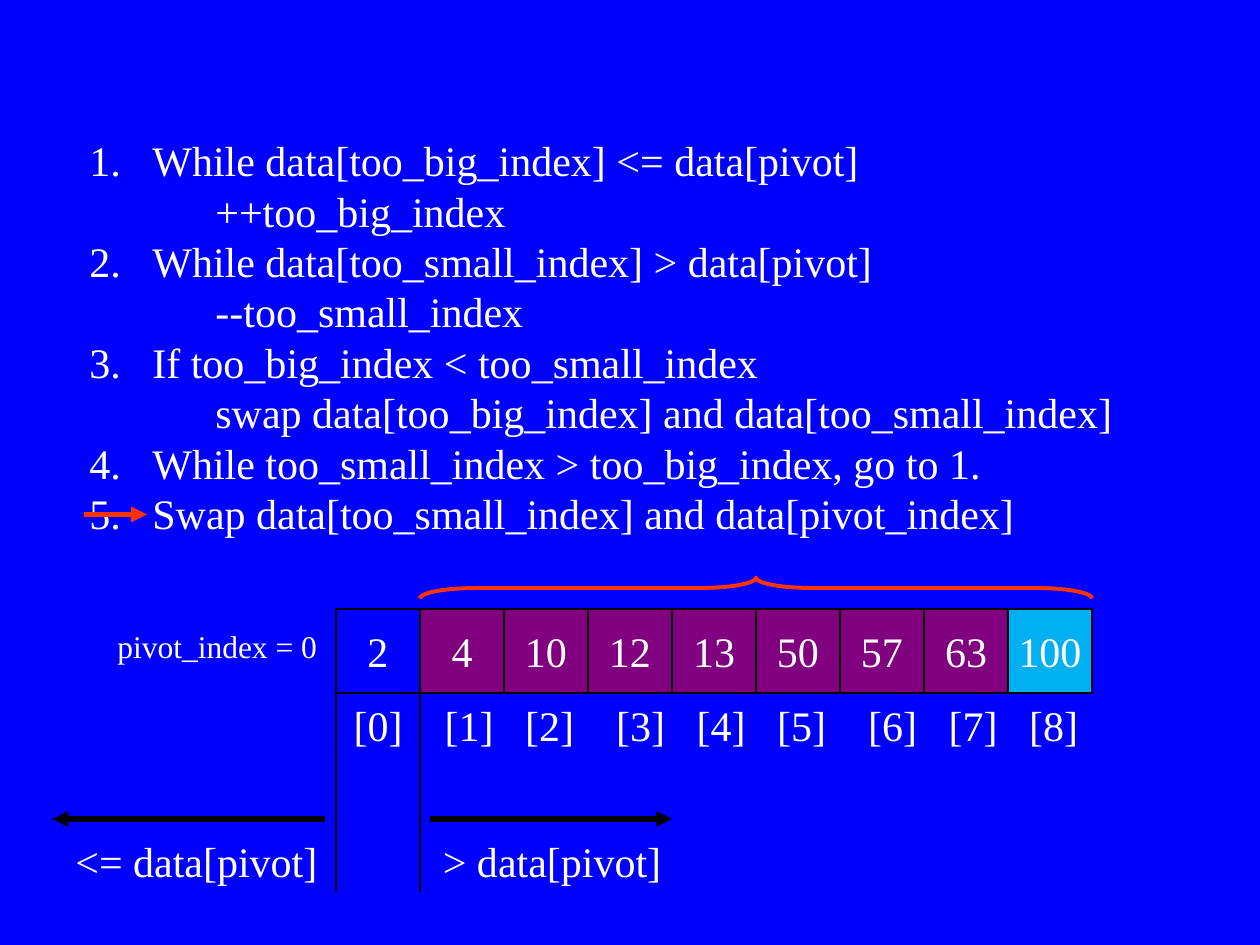
from itertools import accumulate

from lxml import etree
from pptx import Presentation
from pptx.dml.color import RGBColor
from pptx.enum.shapes import MSO_CONNECTOR, MSO_SHAPE
from pptx.enum.text import MSO_ANCHOR, PP_ALIGN
from pptx.oxml.ns import qn
from pptx.util import Pt

STRAIGHT = MSO_CONNECTOR.STRAIGHT
RECTANGLE, LEFT_BRACE = MSO_SHAPE.RECTANGLE, MSO_SHAPE.LEFT_BRACE
LEFT, CENTER = PP_ALIGN.LEFT, PP_ALIGN.CENTER
TOP, MIDDLE = MSO_ANCHOR.TOP, MSO_ANCHOR.MIDDLE

BLUE = RGBColor(0x00, 0x00, 0xFF)
PURPLE = RGBColor(0x80, 0x00, 0x80)
CYAN = RGBColor(0x00, 0xB0, 0xF0)
RED = RGBColor(0xFF, 0x33, 0x00)
BLACK = RGBColor(0x00, 0x00, 0x00)
WHITE = RGBColor(0xFF, 0xFF, 0xFF)
FONT = "Times New Roman"

STEPS = [
    ("While data[too_big_index] <= data[pivot]", "++too_big_index"),
    ("While data[too_small_index] > data[pivot]", "--too_small_index"),
    ("If too_big_index < too_small_index",
     "swap data[too_big_index] and data[too_small_index]"),
    ("While too_small_index > too_big_index, go to 1.", None),
    ("Swap data[too_small_index] and data[pivot_index]", None),
]
VALUES = [2, 4, 10, 12, 13, 50, 57, 63, 100]
FILLS = [BLUE] + [PURPLE] * 7 + [CYAN]
INDEX_GAPS = [52, 46, 52, 46, 46, 52, 46, 46]
CELL, ROW_LEFT, ROW_TOP = 48, 192, 348
PIVOT_RIGHT = ROW_LEFT + CELL
ROW_RIGHT = ROW_LEFT + CELL * len(VALUES)
BRACE_WIDTH, BRACE_CENTER = 12, 336
BRACE_SPAN = ROW_RIGHT - PIVOT_RIGHT
RANGE_TOP = 468
LABELS = [
    ("pivot_index = 0", 60, 355, 129, 29, 18),
    ("> data[pivot]", 246, 474, 139, 36, 24),
    ("<= data[pivot]", 36, 474, 153, 36, 24),
]
ARROWS = [
    (48, 294, 84, RED),
    (PIVOT_RIGHT + 6, RANGE_TOP, 384, BLACK),
    (ROW_LEFT - 6, RANGE_TOP, 30, BLACK),
]

deck = Presentation()
deck.slide_width, deck.slide_height = Pt(720), Pt(540)
page = deck.slides.add_slide(deck.slide_layouts[6])
page.background.fill.solid()
page.background.fill.fore_color.rgb = BLUE


def write(box, text, size=24, align=LEFT, anchor=TOP, wrap=False, pitch=None):
    frame = box.text_frame
    frame.word_wrap = wrap
    frame.vertical_anchor = anchor
    frame.text = text
    for para in frame.paragraphs:
        para.alignment = align
        para.line_spacing = pitch
        for span in para.runs:
            span.font.name = FONT
            span.font.size = Pt(size)
            span.font.color.rgb = WHITE
    return frame.paragraphs


def add_box(left, top, width, height):
    return page.shapes.add_textbox(Pt(left), Pt(top), Pt(width), Pt(height))


def add_line(start, end, color, weight, arrow=False):
    line = page.shapes.add_connector(STRAIGHT, *(Pt(value) for value in start + end))
    line.line.color.rgb = color
    line.line.width = Pt(weight)
    if arrow:
        etree.SubElement(line.line._get_or_add_ln(), qn("a:tailEnd"), type="triangle")
    etree.SubElement(line._element.spPr, qn("a:effectLst"))


def add_shape(kind, left, top, width, height, color, weight):
    shape = page.shapes.add_shape(kind, Pt(left), Pt(top), Pt(width), Pt(height))
    shape.shadow.inherit = False
    shape.line.color.rgb = color
    shape.line.width = Pt(weight)
    return shape


lines = []
for number, (step, action) in enumerate(STEPS, 1):
    lines.append((step, number))
    if action:
        lines.append((action, None))
paras = write(add_box(44, 73.5, 672, 324), "\n".join(text for text, _ in lines),
              wrap=True, pitch=Pt(28.8))
for para, (_, number) in zip(paras, lines):
    props = para._p.get_or_add_pPr()
    props.set("marL", str(Pt(36 if number else 72)))
    props.set("indent", str(Pt(-36 if number else 0)))
    if number:
        etree.SubElement(props, qn("a:buFont"), typeface=FONT)
        etree.SubElement(props, qn("a:buAutoNum"), type="arabicPeriod", startAt=str(number))
    else:
        etree.SubElement(props, qn("a:buNone"))

for column, (value, fill) in enumerate(zip(VALUES, FILLS)):
    cell = add_shape(RECTANGLE, ROW_LEFT + column * CELL, ROW_TOP, CELL, CELL, BLACK, 0.75)
    cell.fill.solid()
    cell.fill.fore_color.rgb = fill
    write(cell, str(value), align=CENTER, anchor=MIDDLE)

indexes = "\t".join(f"[{column}]" for column in range(len(VALUES)))
index_row = write(add_box(195, 396, 440, 36), indexes, wrap=True)[0]
tabs = etree.SubElement(index_row._p.get_or_add_pPr(), qn("a:tabLst"))
for stop in accumulate(INDEX_GAPS):
    etree.SubElement(tabs, qn("a:tab"), pos=str(Pt(stop)), algn="l")

for text, left, top, width, height, size in LABELS:
    write(add_box(left, top, width, height), text, size=size)

brace = add_shape(LEFT_BRACE, (PIVOT_RIGHT + ROW_RIGHT - BRACE_WIDTH) / 2,
                  BRACE_CENTER - BRACE_SPAN / 2, BRACE_WIDTH, BRACE_SPAN, RED, 2.25)
brace.fill.background()
brace.rotation = 90
brace.adjustments[0] = 2.67

for x in (ROW_LEFT, PIVOT_RIGHT):
    add_line((x, ROW_TOP), (x, 510), BLACK, 0.75)
for start, y, end, color in ARROWS:
    add_line((start, y), (end, y), color, 3, arrow=True)

deck.save("out.pptx")
